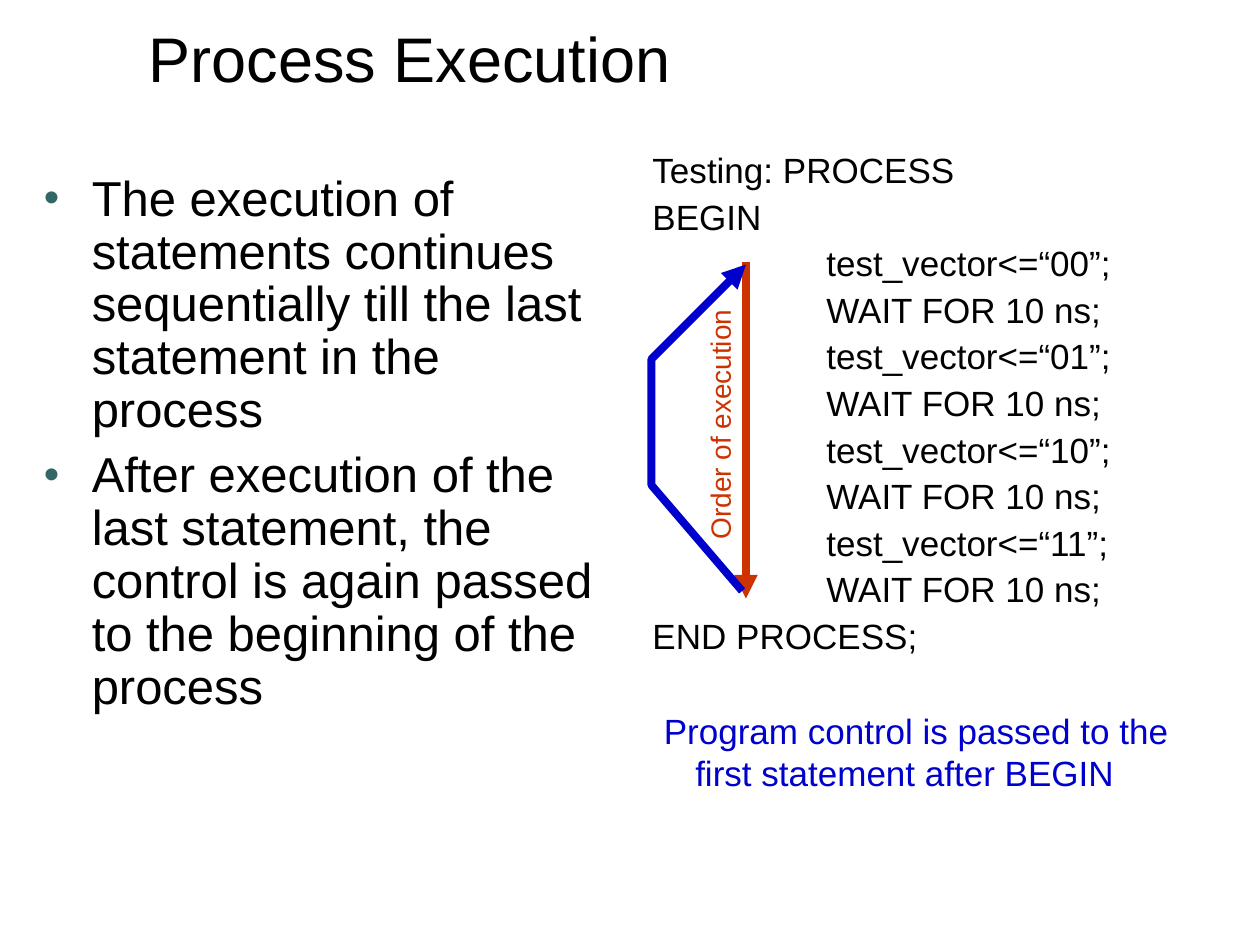
from dataclasses import dataclass

from lxml.etree import SubElement
from pptx import Presentation
from pptx.dml.color import RGBColor
from pptx.enum.shapes import MSO_CONNECTOR
from pptx.enum.text import MSO_ANCHOR, PP_ALIGN
from pptx.oxml.ns import qn
from pptx.util import Inches, Pt

BLACK = RGBColor(0x00, 0x00, 0x00)
BLUE = RGBColor(0x00, 0x00, 0xCC)
RED = RGBColor(0xCC, 0x33, 0x00)
TEAL = RGBColor(0x33, 0x66, 0x66)
FONT = "Arial"


@dataclass(frozen=True)
class TextStyle:
    size: float
    color: RGBColor = BLACK
    space_before: float = 0
    line_spacing: float = 1.0
    margin: float = 0
    indent: float = 0
    alignment: PP_ALIGN = PP_ALIGN.LEFT
    bullet: bool = False


@dataclass(frozen=True)
class TextBlock:
    left: float
    top: float
    width: float
    height: float
    lines: list[tuple[str, TextStyle]]
    rotation: float = 0


BULLET = TextStyle(28, space_before=7, line_spacing=0.9, margin=0.38, indent=-0.38, bullet=True)
CODE = TextStyle(20, space_before=5, line_spacing=0.9)
STATEMENT = TextStyle(20, space_before=5, line_spacing=0.9, margin=1.38)
NOTE = TextStyle(20, BLUE, space_before=12.5, margin=1.25, indent=-0.25)
ARROW_LABEL = TextStyle(16, RED, space_before=10, alignment=PP_ALIGN.CENTER)

BULLETS = [
    "The execution of statements continues sequentially till the last statement in the process",
    "After execution of the last statement, the control is again passed "
    "to the beginning of the process",
]
STATEMENTS = [
    statement
    for vector in ("00", "01", "10", "11")
    for statement in (f"test_vector<=“{vector}”;", "WAIT FOR 10 ns;")
]
EXPLANATION = TextBlock(0.25, 1.33, 4.75, 5.5, [(text, BULLET) for text in BULLETS])
LISTING = TextBlock(5.08, 1.17, 4.58, 6, [
    ("Testing: PROCESS", CODE),
    ("BEGIN", CODE),
    *((statement, STATEMENT) for statement in STATEMENTS),
    ("END PROCESS;", CODE),
])
CONTROL_NOTE = TextBlock(4.17, 5.58, 5.5, 0.77, [
    ("Program control is passed to the first statement after BEGIN", NOTE),
])
ORDER_LABEL = TextBlock(4.56, 3.05, 2.58, 0.64, [("Order of execution", ARROW_LABEL)],
                        rotation=270)
LOOP_POINTS = [(5.89, 4.69), (5.17, 3.85), (5.17, 2.85), (5.92, 2.1)]


def add_bullet(properties) -> None:
    color = SubElement(properties, qn("a:buClr"))
    SubElement(color, qn("a:srgbClr"), val=str(TEAL))
    SubElement(properties, qn("a:buSzPct"), val="90000")
    SubElement(properties, qn("a:buFont"), typeface=FONT)
    SubElement(properties, qn("a:buChar"), char="•")


def format_paragraph(paragraph, style: TextStyle) -> None:
    paragraph.alignment = style.alignment
    paragraph.line_spacing = style.line_spacing
    paragraph.space_before = Pt(style.space_before)
    properties = paragraph._p.get_or_add_pPr()
    properties.set("marL", str(Inches(style.margin)))
    properties.set("indent", str(Inches(style.indent)))
    if style.bullet:
        add_bullet(properties)
    paragraph.font.name = FONT
    paragraph.font.size = Pt(style.size)
    paragraph.font.color.rgb = style.color


def add_text(slide, block: TextBlock) -> None:
    shape = slide.shapes.add_textbox(
        Inches(block.left), Inches(block.top), Inches(block.width), Inches(block.height))
    shape.rotation = block.rotation
    frame = shape.text_frame
    frame.word_wrap = True
    frame.text = "\n".join(text for text, _ in block.lines)
    for paragraph, (_, style) in zip(frame.paragraphs, block.lines):
        format_paragraph(paragraph, style)


def set_title(slide, text: str) -> None:
    title = slide.shapes.title
    title.left, title.top = Inches(1.08), Inches(0.08)
    title.width, title.height = Inches(8.58), Inches(0.75)
    title.text_frame.text = text
    title.text_frame.vertical_anchor = MSO_ANCHOR.MIDDLE
    format_paragraph(title.text_frame.paragraphs[0], TextStyle(36))


def format_arrow(line, color: RGBColor) -> None:
    line.color.rgb = color
    line.width = Pt(4.5)
    SubElement(line._get_or_add_ln(), qn("a:tailEnd"), type="triangle")


def add_order_arrow(slide) -> None:
    arrow = slide.shapes.add_connector(
        MSO_CONNECTOR.STRAIGHT, Inches(5.92), Inches(2.08), Inches(5.92), Inches(4.75))
    format_arrow(arrow.line, RED)
    SubElement(arrow._element.spPr, qn("a:effectLst"))


def add_loop_arrow(slide) -> None:
    start, *corners = [(Inches(x), Inches(y)) for x, y in LOOP_POINTS]
    builder = slide.shapes.build_freeform(*start)
    builder.add_line_segments(corners, close=False)
    loop = builder.convert_to_shape()
    loop.fill.background()
    format_arrow(loop.line, BLUE)
    loop.shadow.inherit = False


def main() -> None:
    presentation = Presentation()
    presentation.slide_width, presentation.slide_height = Inches(10), Inches(7.5)
    slide = presentation.slides.add_slide(presentation.slide_layouts.get_by_name("Title Only"))
    set_title(slide, "Process Execution")
    add_text(slide, EXPLANATION)
    add_text(slide, LISTING)
    add_order_arrow(slide)
    add_loop_arrow(slide)
    add_text(slide, CONTROL_NOTE)
    add_text(slide, ORDER_LABEL)
    presentation.save("out.pptx")


if __name__ == "__main__":
    main()
